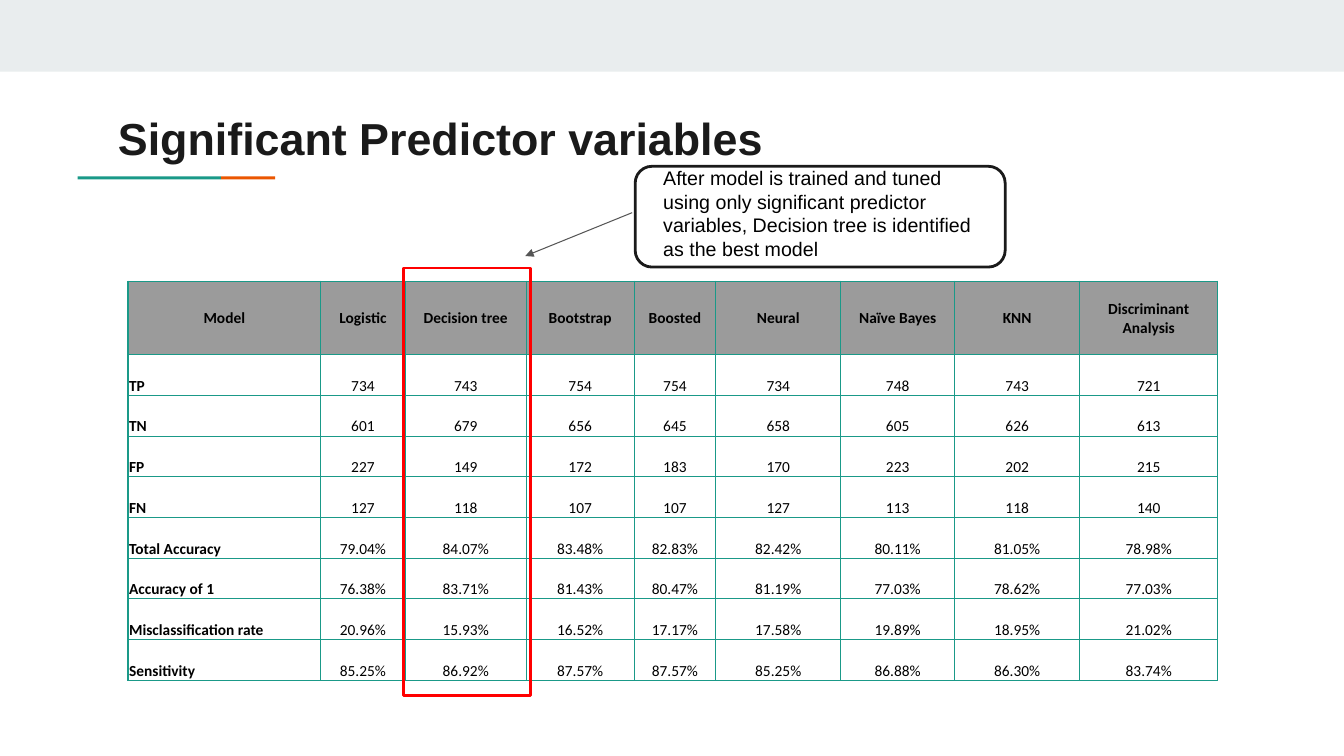
import pptx
import pptx.util
import pptx.dml.color
import pptx.enum.shapes
import pptx.enum.text
import pptx.oxml
import pptx.oxml.ns

Inches = pptx.util.Inches
Pt = pptx.util.Pt
RGBColor = pptx.dml.color.RGBColor
Shape = pptx.enum.shapes.MSO_SHAPE
Align = pptx.enum.text.PP_ALIGN
Anchor = pptx.enum.text.MSO_ANCHOR

BAND = RGBColor(0xE9, 0xED, 0xEE)
TEAL = RGBColor(0x1A, 0x99, 0x88)
ORANGE = RGBColor(0xEB, 0x56, 0x00)
INK = RGBColor(0x1A, 0x1A, 0x1A)
BLACK = RGBColor(0x00, 0x00, 0x00)
HEADER_GREY = RGBColor(0x9B, 0x9B, 0x9B)
ARROW_GREY = RGBColor(0x56, 0x56, 0x56)
RED = RGBColor(0xFF, 0x00, 0x00)

TITLE = "Significant Predictor variables"
FINDING = ("After model is trained and tuned using only significant predictor "
           "variables, Decision tree is identified as the best model")

MODEL_RESULTS = [
    ["Model", "Logistic", "Decision tree", "Bootstrap", "Boosted", "Neural",
     "Naïve Bayes", "KNN", "Discriminant Analysis"],
    ["TP", "734", "743", "754", "754", "734", "748", "743", "721"],
    ["TN", "601", "679", "656", "645", "658", "605", "626", "613"],
    ["FP", "227", "149", "172", "183", "170", "223", "202", "215"],
    ["FN", "127", "118", "107", "107", "127", "113", "118", "140"],
    ["Total Accuracy", "79.04%", "84.07%", "83.48%", "82.83%", "82.42%",
     "80.11%", "81.05%", "78.98%"],
    ["Accuracy of 1", "76.38%", "83.71%", "81.43%", "80.47%", "81.19%",
     "77.03%", "78.62%", "77.03%"],
    ["Misclassification rate", "20.96%", "15.93%", "16.52%", "17.17%", "17.58%",
     "19.89%", "18.95%", "21.02%"],
    ["Sensitivity", "85.25%", "86.92%", "87.57%", "87.57%", "85.25%",
     "86.88%", "86.30%", "83.74%"],
]
COLUMN_WIDTHS = [1.91, 0.84, 1.2, 1.07, 0.81, 1.24, 1.13, 1.24, 1.37]
HEADER_HEIGHT = 0.73
TABLE_HEIGHT = 3.96


def apply(target, formats):
    for name, value in formats.items():
        setattr(target, name, value)


class SlideBuilder:
    heading = {"name": "Arial", "size": Pt(32), "bold": True}
    body = {"name": "Arial", "size": Pt(14), "bold": False}
    cell = {"name": "Calibri", "size": Pt(11)}
    cell_box = {"margin_left": Inches(0.01), "margin_right": Inches(0.01),
                "margin_top": Inches(0.01), "margin_bottom": 0}

    def __init__(self, slide):
        self.slide = slide

    def put_text(self, frame, text, font, color, align=Align.LEFT):
        paragraph = frame.paragraphs[0]
        paragraph.alignment = align
        run = paragraph.add_run()
        run.text = text
        apply(run.font, font)
        run.font.color.rgb = color

    def title(self, text, left, top, width, height):
        heading = self.slide.shapes.title
        apply(heading, {"left": Inches(left), "top": Inches(top),
                        "width": Inches(width), "height": Inches(height)})
        apply(heading.text_frame, {"vertical_anchor": Anchor.TOP, "word_wrap": True})
        self.put_text(heading.text_frame, text, self.heading, INK)

    def text(self, text, left, top, width, height):
        note = self.slide.shapes.add_textbox(
            Inches(left), Inches(top), Inches(width), Inches(height))
        note.text_frame.word_wrap = True
        self.put_text(note.text_frame, text, self.body, BLACK)

    def shape(self, kind, left, top, width, height, fill=None, line=None):
        shape = self.slide.shapes.add_shape(
            kind, Inches(left), Inches(top), Inches(width), Inches(height))
        shape.shadow.inherit = False
        if fill is None:
            shape.fill.background()
        else:
            shape.fill.solid()
            shape.fill.fore_color.rgb = fill
        if line is None:
            shape.line.fill.background()
        else:
            shape.line.color.rgb = line
            shape.line.width = Pt(2)

    def arrow(self, x1, y1, x2, y2, color):
        arrow = self.slide.shapes.add_connector(
            pptx.enum.shapes.MSO_CONNECTOR.STRAIGHT,
            Inches(x1), Inches(y1), Inches(x2), Inches(y2))
        arrow.line.color.rgb = color
        arrow.line.width = Pt(0.75)
        properties = arrow._element.spPr
        line = properties.find(pptx.oxml.ns.qn("a:ln"))
        line.append(line.makeelement(pptx.oxml.ns.qn("a:tailEnd"), {"type": "triangle"}))
        properties.append(properties.makeelement(pptx.oxml.ns.qn("a:effectLst")))

    def borders(self, cell, color):
        properties = cell._tc.get_or_add_tcPr()
        for side in ("lnL", "lnR", "lnT", "lnB"):
            properties.append(pptx.oxml.parse_xml(
                f'<a:{side} {pptx.oxml.ns.nsdecls("a")} w="{Pt(1)}">'
                f'<a:solidFill><a:srgbClr val="{color}"/></a:solidFill></a:{side}>'))

    def table(self, rows, widths, left, top, height, header_height):
        table = self.slide.shapes.add_table(
            len(rows), len(widths), Inches(left), Inches(top),
            Inches(sum(widths)), Inches(height)).table
        apply(table, {"first_row": False, "horz_banding": False})
        for column, width in zip(table.columns, widths):
            column.width = Inches(width)
        row_height = (height - header_height) / (len(rows) - 1)
        for r, values in enumerate(rows):
            is_header = r == 0
            table.rows[r].height = Inches(header_height if is_header else row_height)
            for c, value in enumerate(values):
                cell = table.cell(r, c)
                apply(cell, self.cell_box)
                cell.vertical_anchor = Anchor.MIDDLE if is_header else Anchor.BOTTOM
                self.borders(cell, TEAL)
                if is_header:
                    cell.fill.solid()
                    cell.fill.fore_color.rgb = HEADER_GREY
                else:
                    cell.fill.background()
                self.put_text(cell.text_frame, value,
                              {**self.cell, "bold": is_header or c == 0}, BLACK,
                              Align.CENTER if is_header or c else Align.LEFT)


def main():
    deck = pptx.Presentation()
    apply(deck, {"slide_width": Inches(13.33), "slide_height": Inches(7.5)})
    builder = SlideBuilder(deck.slides.add_slide(deck.slide_layouts[5]))

    # Top band, title and its two-colour underline
    builder.shape(Shape.RECTANGLE, 0, 0, 13.33, 0.71, fill=BAND)
    builder.title(TITLE, 1.07, 1.05, 11.4, 0.88)
    builder.shape(Shape.RECTANGLE, 2.19, 1.75, 0.54, 0.03, fill=ORANGE)
    builder.shape(Shape.RECTANGLE, 0.77, 1.75, 1.42, 0.03, fill=TEAL)

    # Model comparison with the best model framed
    builder.table(MODEL_RESULTS, COLUMN_WIDTHS, 1.27, 2.79, TABLE_HEIGHT, HEADER_HEIGHT)
    builder.shape(Shape.FLOWCHART_PROCESS, 4, 2.66, 1.26, 4.24, line=RED)

    # Callout pointing at the best model
    builder.arrow(6.27, 2.11, 5.21, 2.54, ARROW_GREY)
    builder.shape(Shape.ROUNDED_RECTANGLE, 6.3, 1.65, 3.67, 1, line=INK)
    builder.text(FINDING, 6.48, 1.6, 3.37, 1.28)

    deck.save("out.pptx")


if __name__ == "__main__":
    main()
